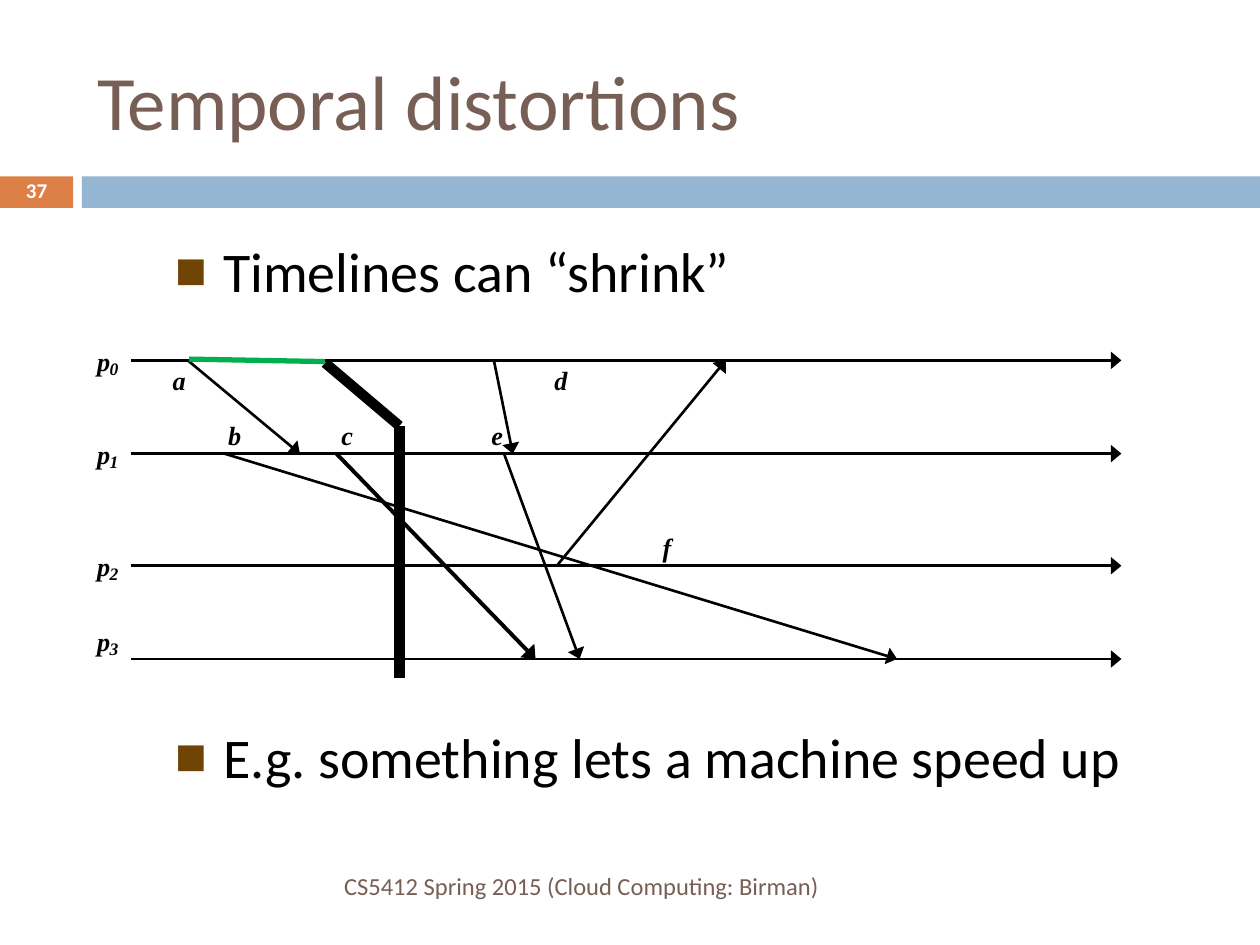
from lxml.etree import SubElement
from pptx import Presentation
from pptx.dml.color import RGBColor
from pptx.enum.shapes import MSO_CONNECTOR as Connector, MSO_SHAPE as Shape
from pptx.enum.text import MSO_ANCHOR as Anchor, MSO_AUTO_SIZE as AutoSize, PP_ALIGN as Align
from pptx.oxml.ns import qn
from pptx.util import Inches, Pt

COLORS = {
    "brown": "775F55",
    "orange": "DD8047",
    "blue": "94B6D2",
    "bullet": "704404",
    "green": "00B050",
    "black": "000000",
    "white": "FFFFFF",
}
TIMELINES = [2.86, 3.6, 4.49, 5.23]
PROCESS_LABEL_TOPS = [2.74, 3.48, 4.37, 4.96]
EVENTS = [
    ("a", 1.37, 2.89), ("b", 1.81, 3.33), ("c", 2.71, 3.33),
    ("d", 4.4, 2.89), ("e", 3.9, 3.33), ("f", 5.26, 4.22),
]
MESSAGES = [
    (1.49, 0, 2.38, 1, 1.5), (1.78, 1, 7.12, 3, 1.5), (4.42, 2, 5.76, 0, 1.5),
    (3.92, 0, 4.07, 1, 1.5), (4, 1, 4.6, 3, 1.5), (2.67, 1, 4.25, 3, 2.25),
]


def color(name):
    """Return the named colour of the palette."""
    return RGBColor.from_string(COLORS[name])


def place(shape, left, top, width, height):
    """Move and size a shape, in inches."""
    shape.left, shape.top = Inches(left), Inches(top)
    shape.width, shape.height = Inches(width), Inches(height)


def write(paragraph, text, size, font="Calibri", fill="black", bold=False,
          italic=False, align=Align.LEFT):
    """Add a formatted run to a paragraph."""
    paragraph.alignment = align
    run = paragraph.add_run()
    run.text = text
    run.font.size, run.font.name = Pt(size), font
    run.font.bold, run.font.italic = bold, italic
    run.font.color.rgb = color(fill)


def add_text(slide, box, text, size, margins=True, **style):
    """Add a text box holding one paragraph."""
    shape = slide.shapes.add_textbox(*map(Inches, box))
    frame = shape.text_frame
    frame.word_wrap = margins
    if margins:
        frame.vertical_anchor = Anchor.MIDDLE
    else:
        frame.margin_left = frame.margin_right = frame.margin_top = frame.margin_bottom = 0
    write(frame.paragraphs[0], text, size, **style)
    return frame.paragraphs[0]


def add_label(slide, text, left, top, size=15):
    """Add a small bold italic diagram label."""
    add_text(slide, (left, top, 0.11, size / 60), text, size, margins=False,
             font="Times New Roman", bold=True, italic=True)


def add_bar(slide, left, width, fill):
    """Add a segment of the band below the title."""
    bar = slide.shapes.add_shape(Shape.RECTANGLE, Inches(left), Inches(1.4),
                                 Inches(width), Inches(0.25))
    bar.shadow.inherit = False
    bar.fill.solid()
    bar.fill.fore_color.rgb = color(fill)
    bar.line.fill.background()


def add_line(slide, points, width, stroke="black", arrow=False):
    """Add a straight line, with an arrowhead at its end if wanted."""
    line = slide.shapes.add_connector(Connector.STRAIGHT, *map(Inches, points))
    line.line.width = Pt(width)
    line.line.color.rgb = color(stroke)
    properties = line._element.spPr
    if arrow:
        SubElement(properties.find(qn("a:ln")), qn("a:tailEnd"),
                   type="triangle", w="lg", len="med")
    SubElement(properties, qn("a:effectLst"))


def add_bullet(paragraph):
    """Give a paragraph a square bullet and hanging indent."""
    properties = paragraph._p.get_or_add_pPr()
    properties.set("marL", str(Inches(0.38)))
    properties.set("indent", str(-Inches(0.38)))
    bullet_color = SubElement(properties, qn("a:buClr"))
    SubElement(bullet_color, qn("a:srgbClr"), val=COLORS["bullet"])
    SubElement(properties, qn("a:buSzPct"), val="60000")
    SubElement(properties, qn("a:buFont"), typeface="Calibri")
    SubElement(properties, qn("a:buChar"), char="■")


def fill_title(slide):
    """Write the title placeholder."""
    title = slide.shapes.title
    place(title, 0.67, 0.25, 8.92, 1.08)
    title.text_frame.vertical_anchor = Anchor.MIDDLE
    write(title.text_frame.paragraphs[0], "Temporal distortions", 44, fill="brown")


def fill_body(slide):
    """Write the two points above and below the diagram."""
    body = slide.placeholders[1]
    place(body, 1.29, 1.83, 8.5, 4.5)
    frame = body.text_frame
    frame.auto_size = AutoSize.NONE
    points = [("Timelines can “shrink”", 0), ("E.g. something lets a machine speed up", 239)]
    for index, (text, gap) in enumerate(points):
        paragraph = frame.add_paragraph() if index else frame.paragraphs[0]
        add_bullet(paragraph)
        paragraph.space_before = Pt(gap)
        write(paragraph, text, 32)


def add_diagram(slide):
    """Draw process timelines, messages, events and the distorted cut."""
    for number, (top, label_top) in enumerate(zip(TIMELINES, PROCESS_LABEL_TOPS)):
        add_line(slide, (1.04, top, 8.9, top), 1.5, arrow=True)
        add_label(slide, "p", 0.77, label_top)
        add_label(slide, str(number), 0.87, label_top + 0.1, size=10)
    for start, sender, end, receiver, width in MESSAGES:
        add_line(slide, (start, TIMELINES[sender], end, TIMELINES[receiver]), width, arrow=True)
    for event in EVENTS:
        add_label(slide, *event)
    add_line(slide, (3.17, 3.38, 3.17, 5.38), 5.87)
    add_line(slide, (2.58, 2.88, 3.17, 3.38), 5.87)
    add_line(slide, (1.5, 2.85, 2.58, 2.87), 3, stroke="green")


def main():
    """Build and save the slide."""
    presentation = Presentation()
    presentation.slide_width, presentation.slide_height = Inches(10), Inches(7.5)
    slide = presentation.slides.add_slide(presentation.slide_layouts[1])
    add_bar(slide, 0, 0.58, "orange")
    add_bar(slide, 0.65, 9.35, "blue")
    fill_title(slide)
    fill_body(slide)
    add_diagram(slide)
    add_text(slide, (0.67, 6.83, 5.93, 0.4), "CS5412 Spring 2015 (Cloud Computing: Birman)",
             14, fill="brown", align=Align.RIGHT)
    number = add_text(slide, (0, 1.39, 0.58, 0.27), "37", 12, fill="white", bold=True,
                      align=Align.CENTER)
    number.line_spacing = 0.8
    presentation.save("out.pptx")


if __name__ == "__main__":
    main()
